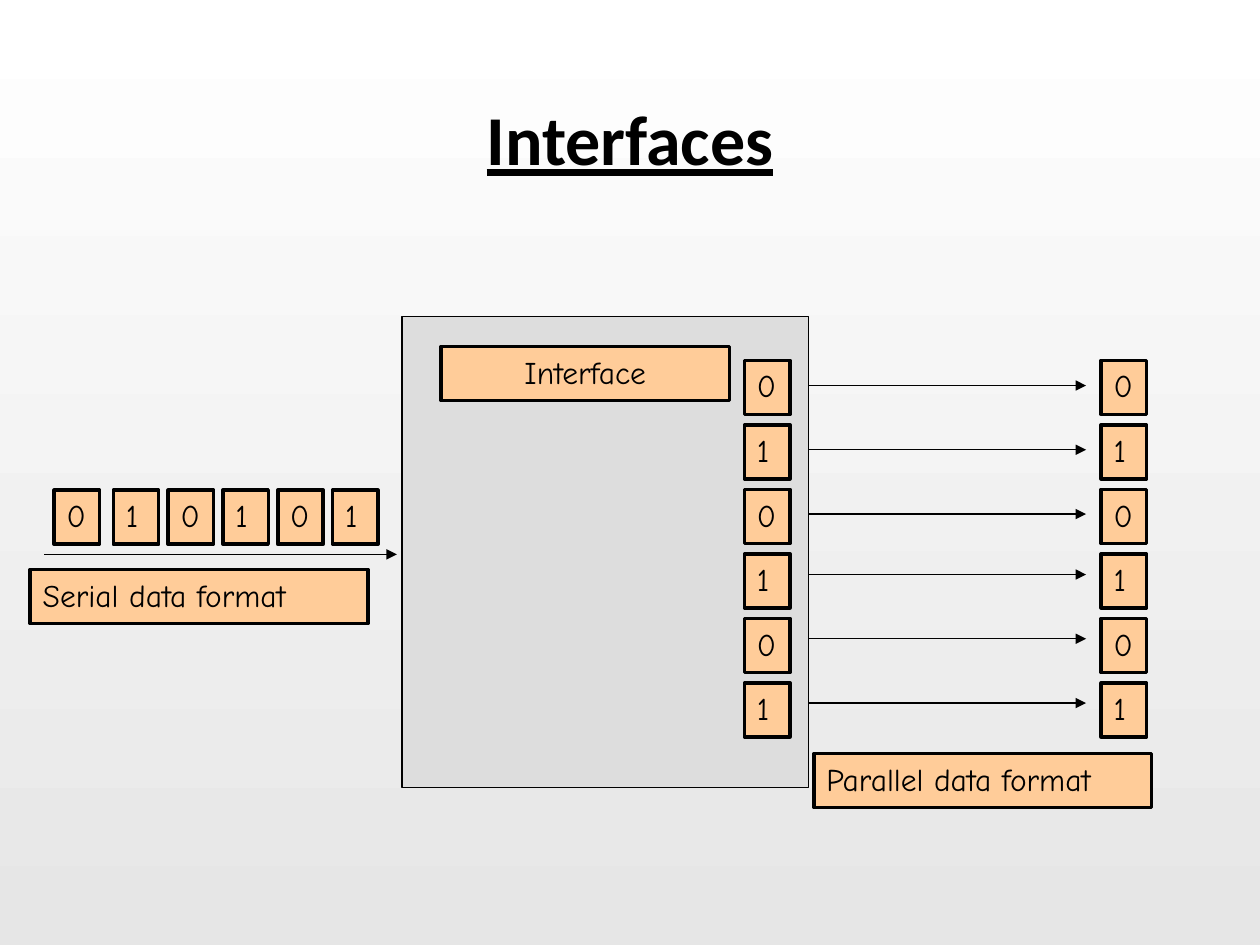
from lxml.etree import SubElement
from pptx import Presentation
from pptx.dml.color import RGBColor
from pptx.enum.shapes import MSO_CONNECTOR as CONNECTOR, MSO_SHAPE as SHAPE
from pptx.enum.text import MSO_ANCHOR as ANCHOR, PP_ALIGN as ALIGN
from pptx.oxml.ns import qn
from pptx.util import Inches, Pt

# Content
TITLE = "Interfaces"
BITS = "010101"
LABELS = [  # text, left, top, width, alignment
    ("Serial data format", 0.24, 4.52, 2.68, ALIGN.LEFT),
    ("Interface", 3.5, 2.75, 2.29, ALIGN.CENTER),
    ("Parallel data format", 6.46, 5.98, 2.68, ALIGN.LEFT),
]

# Layout, in inches
BOX_HEIGHT, BIT_WIDTH = 0.43, 0.36
SERIAL_LEFTS = [0.43] + [0.9 + 0.435 * i for i in range(5)]
SERIAL_TOP = 3.89
PARALLEL_LEFTS = [5.91, 8.74]
PARALLEL_TOP, PARALLEL_STEP = 2.86, 0.512
ARROW_YS = [3.06, 3.57, 4.08, 4.56, 5.07, 5.58]

BLACK, PEACH, GREY = "000000", "FFCC99", "DDDDDD"


def color(value):
    return RGBColor.from_string(value)


def set_text(shape, text, size, font_name, align):
    frame = shape.text_frame
    frame.word_wrap = True
    frame.vertical_anchor = ANCHOR.TOP
    paragraph = frame.paragraphs[0]
    paragraph.text = text
    paragraph.alignment = align
    font = paragraph.font
    font.size, font.name = Pt(size), font_name
    font.color.rgb = color(BLACK)
    return font


def add_rect(left, top, width, height, fill, line_width):
    rect = slide.shapes.add_shape(
        SHAPE.RECTANGLE, Inches(left), Inches(top), Inches(width), Inches(height))
    rect.shadow.inherit = False
    rect.fill.solid()
    rect.fill.fore_color.rgb = color(fill)
    rect.line.color.rgb = color(BLACK)
    rect.line.width = Pt(line_width)
    return rect


def add_box(text, left, top, width=BIT_WIDTH, align=ALIGN.LEFT):
    box = add_rect(left, top, width, BOX_HEIGHT, PEACH, 2)
    set_text(box, text, 18, "Comic Neue", align)


def add_arrow(start, end, y):
    arrow = slide.shapes.add_connector(
        CONNECTOR.STRAIGHT, Inches(start), Inches(y), Inches(end), Inches(y))
    arrow.line.color.rgb = color(BLACK)
    arrow.line.width = Pt(0.75)
    SubElement(arrow.line._get_or_add_ln(), qn("a:tailEnd"), type="triangle")
    SubElement(arrow._element.spPr, qn("a:effectLst"))


prs = Presentation()
prs.slide_width, prs.slide_height = Inches(10), Inches(7.5)
slide = prs.slides.add_slide(prs.slide_layouts[6])

# Background, white at the top to light grey
background = slide.background.fill
background.gradient()
background.gradient_angle = 270
for stop, shade, position in zip(background.gradient_stops, ("FFFFFF", "E6E6E6"), (0, 1)):
    stop.color.rgb = color(shade)
    stop.position = position

# Title
title = slide.shapes.add_textbox(Inches(0.67), Inches(0.71), Inches(8.66), Inches(0.77))
title_font = set_text(title, TITLE, 40, "Calibri", ALIGN.CENTER)
title_font.bold = title_font.underline = True

# Interface block with its input and output arrows
add_rect(3.19, 2.51, 3.23, 3.74, GREY, 0.75)
add_arrow(0.35, 3.15, 4.4)
for y in ARROW_YS:
    add_arrow(6.42, 8.62, y)

# Bits in a row (serial) and in columns (parallel)
for bit, left in zip(BITS, SERIAL_LEFTS):
    add_box(bit, left, SERIAL_TOP)
for left in PARALLEL_LEFTS:
    for i, bit in enumerate(BITS):
        add_box(bit, left, PARALLEL_TOP + i * PARALLEL_STEP)

# Labels
for text, left, top, width, align in LABELS:
    add_box(text, left, top, width, align)

prs.save("out.pptx")
